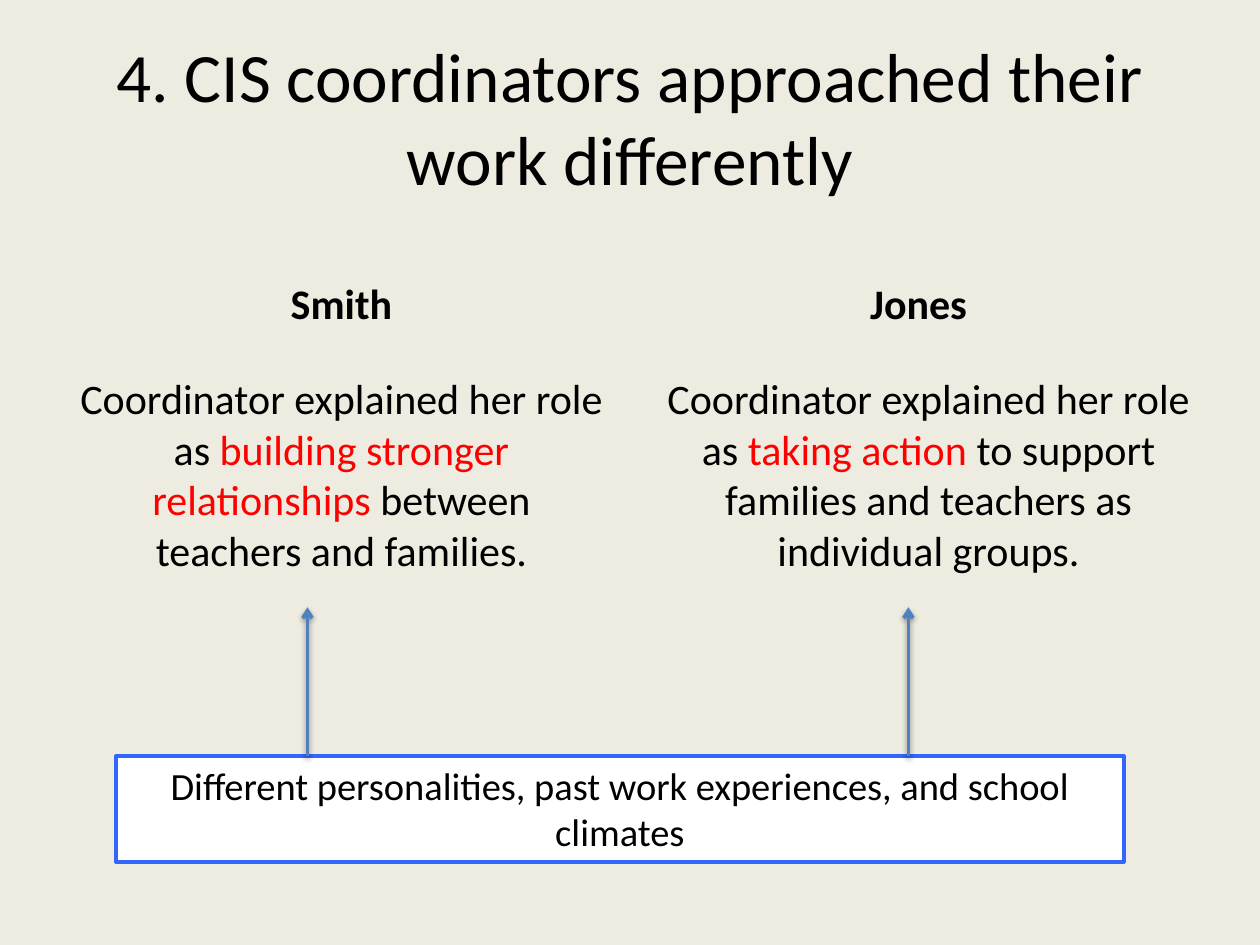
from lxml.etree import SubElement
from pptx import Presentation
from pptx.dml.color import RGBColor
from pptx.enum.shapes import MSO_CONNECTOR, MSO_SHAPE
from pptx.enum.text import MSO_ANCHOR, PP_ALIGN
from pptx.oxml import parse_xml
from pptx.oxml.ns import nsdecls, qn
from pptx.util import Pt

BACKGROUND = RGBColor(0xEE, 0xEC, 0xE1)
INK = RGBColor(0x00, 0x00, 0x00)
HIGHLIGHT = RGBColor(0xFF, 0x00, 0x00)
WHITE = RGBColor(0xFF, 0xFF, 0xFF)
BOX_BORDER = RGBColor(0x33, 0x66, 0xFF)
ARROW_BLUE = RGBColor(0x4F, 0x81, 0xBD)

COLUMN_WIDTH = 318.24
BOX_TOP = 432
ARROW_TIP = 347
SHADOW = (
    f'<a:effectLst {nsdecls("a")}>'
    '<a:outerShdw blurRad="40000" dist="20000" dir="5400000" rotWithShape="0">'
    '<a:srgbClr val="000000"><a:alpha val="38000"/></a:srgbClr>'
    '</a:outerShdw></a:effectLst>'
)


class SlideBuilder:
    font_name = "Calibri"
    line_width = Pt(2)

    def __init__(self, slide):
        self.slide = slide
        slide.background.fill.solid()
        slide.background.fill.fore_color.rgb = BACKGROUND

    def fill_frame(self, frame, parts, size, anchor, bold=False):
        """Fill a frame with one centred paragraph of (wording, colour) parts."""
        frame.word_wrap = True
        frame.vertical_anchor = anchor
        paragraph = frame.paragraphs[0]
        paragraph.alignment = PP_ALIGN.CENTER
        for wording, color in parts:
            run = paragraph.add_run()
            run.text = wording
            run.font.name = self.font_name
            run.font.size = Pt(size)
            run.font.bold = bold
            run.font.color.rgb = color

    def text(self, left, top, width, height, parts, size,
             anchor=MSO_ANCHOR.TOP, bold=False):
        area = self.slide.shapes.add_textbox(
            Pt(left), Pt(top), Pt(width), Pt(height))
        self.fill_frame(area.text_frame, parts, size, anchor, bold)

    def box(self, left, top, width, height, wording, size):
        panel = self.slide.shapes.add_shape(
            MSO_SHAPE.RECTANGLE, Pt(left), Pt(top), Pt(width), Pt(height))
        panel.shadow.inherit = False
        panel.fill.solid()
        panel.fill.fore_color.rgb = WHITE
        panel.line.color.rgb = BOX_BORDER
        panel.line.width = self.line_width
        self.fill_frame(panel.text_frame, [(wording, INK)], size, MSO_ANCHOR.TOP)

    def up_arrow(self, x, bottom, top):
        arrow = self.slide.shapes.add_connector(
            MSO_CONNECTOR.STRAIGHT, Pt(x), Pt(bottom), Pt(x), Pt(top))
        arrow.line.color.rgb = ARROW_BLUE
        arrow.line.width = self.line_width
        properties = arrow._element.spPr
        SubElement(properties.get_or_add_ln(), qn("a:tailEnd"), type="arrow")
        properties.append(parse_xml(SHADOW))


def main():
    presentation = Presentation()
    presentation.slide_width = Pt(720)
    presentation.slide_height = Pt(540)
    builder = SlideBuilder(
        presentation.slides.add_slide(presentation.slide_layouts[6]))

    builder.text(36, 21.6, 648, 90,
                 [("4. CIS coordinators approached their work differently", INK)],
                 39.6, MSO_ANCHOR.MIDDLE)

    # name, heading left, description left, highlighted words, remaining words
    coordinators = [
        ("Smith", 36, 36, "building stronger relationships ",
         "between teachers and families."),
        ("Jones", 365.76, 371.52, "taking action ",
         "to support families and teachers as individual groups."),
    ]
    for name, heading_left, description_left, approach, purpose in coordinators:
        builder.text(heading_left, 140.4, COLUMN_WIDTH, 50.4, [(name, INK)],
                     24, MSO_ANCHOR.BOTTOM, bold=True)
        builder.text(description_left, 209.5, COLUMN_WIDTH, 311,
                     [("Coordinator explained her role as ", INK),
                      (approach, HIGHLIGHT), (purpose, INK)], 24)

    builder.box(66.24, BOX_TOP, 576, 60.5,
                "Different personalities, past work experiences, "
                "and school climates", 22)
    for x in (175.7, 519.1):
        builder.up_arrow(x, BOX_TOP, ARROW_TIP)

    presentation.save("out.pptx")


if __name__ == "__main__":
    main()
